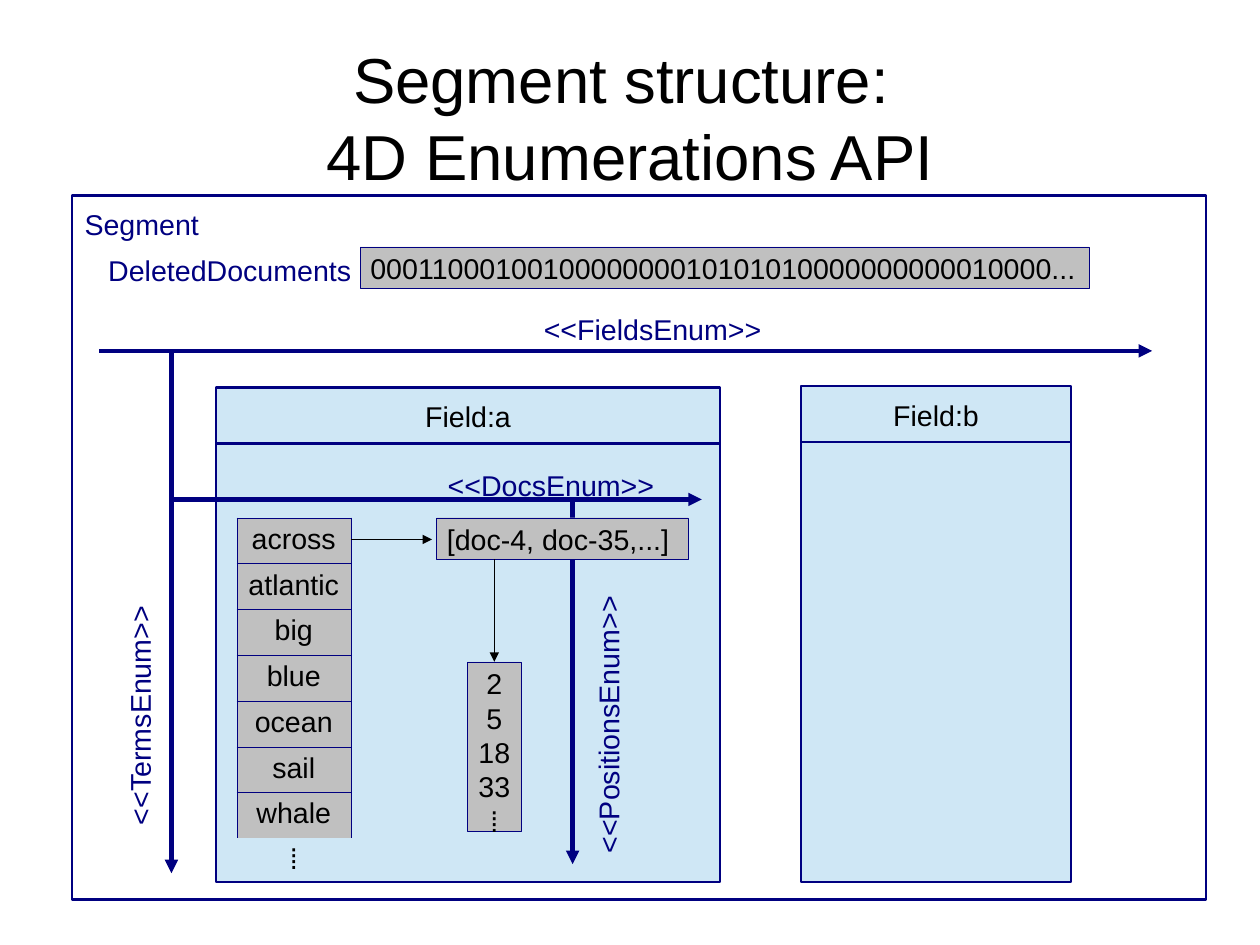
from dataclasses import dataclass

from lxml.etree import SubElement
from pptx import Presentation
from pptx.dml.color import RGBColor
from pptx.enum.shapes import MSO_CONNECTOR, MSO_SHAPE
from pptx.enum.text import MSO_ANCHOR, PP_ALIGN
from pptx.oxml.ns import qn
from pptx.util import Inches, Pt


@dataclass(frozen=True)
class Theme:
    font: str = "Arial"
    navy: str = "000080"
    black: str = "000000"
    sky: str = "CFE7F5"
    gray: str = "C0C0C0"
    title_size: int = 40
    body_size: int = 18
    axis_width: float = 2.83
    frame_width: float = 1.42
    box_width: float = 0.28
    border_width: float = 0.06
    hairline: float = 0.01


THEME = Theme()
FRAME_INSETS = (0.11, 0.1)
BOX_INSETS = (0.09, 0.04)
LABEL_INSETS = (0.1, 0.05)
CELL_INSETS = (0.04, 0.05)


def color(value):
    return RGBColor.from_string(value)


def write(frame, text, ink, insets, align=PP_ALIGN.CENTER, size=THEME.body_size,
          wrap=True):
    frame.text = text
    frame.word_wrap = wrap
    frame.vertical_anchor = MSO_ANCHOR.TOP
    frame.margin_left = frame.margin_right = Inches(insets[0])
    frame.margin_top = frame.margin_bottom = Inches(insets[1])
    for paragraph in frame.paragraphs:
        paragraph.alignment = align
        for run in paragraph.runs:
            run.font.name = THEME.font
            run.font.size = Pt(size)
            run.font.color.rgb = color(ink)


def add_box(slide, box, text, fill, width, insets, ink=THEME.black,
            align=PP_ALIGN.CENTER, wrap=True):
    panel = slide.shapes.add_shape(MSO_SHAPE.RECTANGLE, *map(Inches, box))
    panel.shadow.inherit = False
    if fill:
        panel.fill.solid()
        panel.fill.fore_color.rgb = color(fill)
    else:
        panel.fill.background()
    panel.line.color.rgb = color(THEME.navy)
    panel.line.width = Pt(width)
    write(panel.text_frame, text, ink, insets, align, wrap=wrap)
    return panel


def add_value_box(slide, box, text, align=PP_ALIGN.LEFT):
    return add_box(slide, box, text, THEME.gray, THEME.box_width, BOX_INSETS,
                   align=align, wrap=False)


def add_label(slide, box, text, rotation=0):
    label = slide.shapes.add_textbox(*map(Inches, box))
    label.rotation = rotation
    write(label.text_frame, text, THEME.navy, LABEL_INSETS)


def add_line(slide, start, end, width, ink=THEME.navy, arrow=True):
    line = slide.shapes.add_connector(
        MSO_CONNECTOR.STRAIGHT, *map(Inches, (*start, *end)))
    line.line.color.rgb = color(ink)
    line.line.width = Pt(width)
    if arrow:
        SubElement(line.line._get_or_add_ln(), qn("a:tailEnd"), type="triangle")
    SubElement(line._element.spPr, qn("a:effectLst"))
    return line


def add_title(slide, box):
    title = slide.shapes.add_textbox(*map(Inches, box))
    write(title.text_frame, "Segment structure: \v4D Enumerations API",
          THEME.black, (0, 0), size=THEME.title_size)
    title.text_frame.vertical_anchor = MSO_ANCHOR.MIDDLE


def add_segment(slide, box):
    left, top = box[:2]
    add_box(slide, box, "Segment", None, THEME.frame_width, FRAME_INSETS,
            THEME.navy, PP_ALIGN.LEFT, wrap=False)
    # Deleted documents bit vector
    add_value_box(slide, (left + 2.52, top + 0.45, 6.38, 0.36),
                  "0001100010010000000010101010000000000010000...")
    add_label(slide, (left + 0.16, top + 0.45, 2.44, 0.38), "DeletedDocuments")
    # Axes over fields and terms
    axis_y, terms_x = top + 1.36, left + 0.87
    add_line(slide, (left + 0.24, axis_y), (left + 9.45, axis_y), THEME.axis_width)
    add_label(slide, (left + 3.86, top + 0.97, 2.44, 0.38), "<<FieldsEnum>>")
    add_line(slide, (terms_x, axis_y), (terms_x, top + 5.93), THEME.axis_width)
    add_label(slide, (left - 0.64, top + 4.36, 2.44, 0.38), "<<TermsEnum>>", 270)


def add_field(slide, box, text):
    left, top, width, _ = box
    field = add_box(slide, box, text, THEME.sky, THEME.frame_width, FRAME_INSETS)
    # A second paragraph names the document axis, right of centre
    for axis_name in field.text_frame.paragraphs[1:]:
        axis_name.space_before = Pt(21.7)
        axis_name._p.get_or_add_pPr().set("marL", str(Inches(1.45)))
        axis_name.runs[0].font.color.rgb = color(THEME.navy)
    add_line(slide, (left, top + 0.49), (left + width, top + 0.49),
             THEME.frame_width, arrow=False)


def set_borders(cell, sides):
    properties = cell._tc.get_or_add_tcPr()
    for side in "LRTB":
        border = SubElement(properties, qn(f"a:ln{side}"),
                            w=str(Pt(THEME.border_width)))
        if side in sides:
            paint = SubElement(border, qn("a:solidFill"))
            SubElement(paint, qn("a:srgbClr"), val=THEME.navy)
        else:
            SubElement(border, qn("a:noFill"))


def add_terms(slide, box):
    terms = ["across", "atlantic", "big", "blue", "ocean", "sail", "whale", "⁞"]
    table = slide.shapes.add_table(len(terms), 1, *map(Inches, box)).table
    table.first_row = table.horz_banding = False
    for row, term in enumerate(terms):
        cell = table.cell(row, 0)
        write(cell.text_frame, term, THEME.black, CELL_INSETS)
        cell.margin_left = cell.margin_right = Inches(CELL_INSETS[0])
        cell.margin_top = cell.margin_bottom = Inches(CELL_INSETS[1])
        if term == "⁞":
            set_borders(cell, "")
            cell.fill.background()
        else:
            set_borders(cell, "LRT" if term == "whale" else "LRTB")
            cell.fill.solid()
            cell.fill.fore_color.rgb = color(THEME.gray)


def add_postings(slide, box):
    left, top = box[:2]
    # Axes over documents and positions
    docs_y, positions_x = top + 0.98, left + 3.12
    add_line(slide, (left - 0.39, docs_y), (left + 4.25, docs_y), THEME.axis_width)
    add_line(slide, (positions_x, docs_y), (positions_x, top + 4.17),
             THEME.axis_width)
    add_label(slide, (left + 2.12, top + 2.76, 2.6, 0.38), "<<PositionsEnum>>", 270)
    # Terms lead to documents, documents to positions
    add_terms(slide, (left + 0.18, top + 1.14, 1, 3.2))
    add_line(slide, (left + 1.18, top + 1.33), (left + 1.89, top + 1.33),
             THEME.hairline, THEME.black)
    add_value_box(slide, (left + 1.93, top + 1.14, 2.2, 0.36), "[doc-4, doc-35,...]")
    positions = add_value_box(slide, (left + 2.2, top + 2.4, 0.47, 1.48),
                              "2\n5\n18\n33\n⁞", PP_ALIGN.CENTER)
    middle = left + 2.2 + 0.47 / 2
    pointer = add_line(slide, (middle, top + 1.5), (middle, top + 2.4),
                       THEME.hairline, THEME.black)
    pointer.end_connect(positions, 0)


def main():
    deck = Presentation()
    # A page of 28 by 21 centimetres
    deck.slide_width = Inches(28 / 2.54)
    deck.slide_height = Inches(21 / 2.54)
    slide = deck.slides.add_slide(deck.slide_layouts[6])
    field_a = (1.89, 3.39, 4.41, 4.33)
    add_segment(slide, (0.63, 1.71, 9.92, 6.16))
    add_title(slide, (0.55, 0.33, 9.92, 1.38))
    add_field(slide, field_a, "Field:a\n<<DocsEnum>>")
    add_postings(slide, field_a)
    add_field(slide, (7.01, 3.38, 2.36, 4.34), "Field:b")
    deck.save("out.pptx")


if __name__ == "__main__":
    main()
